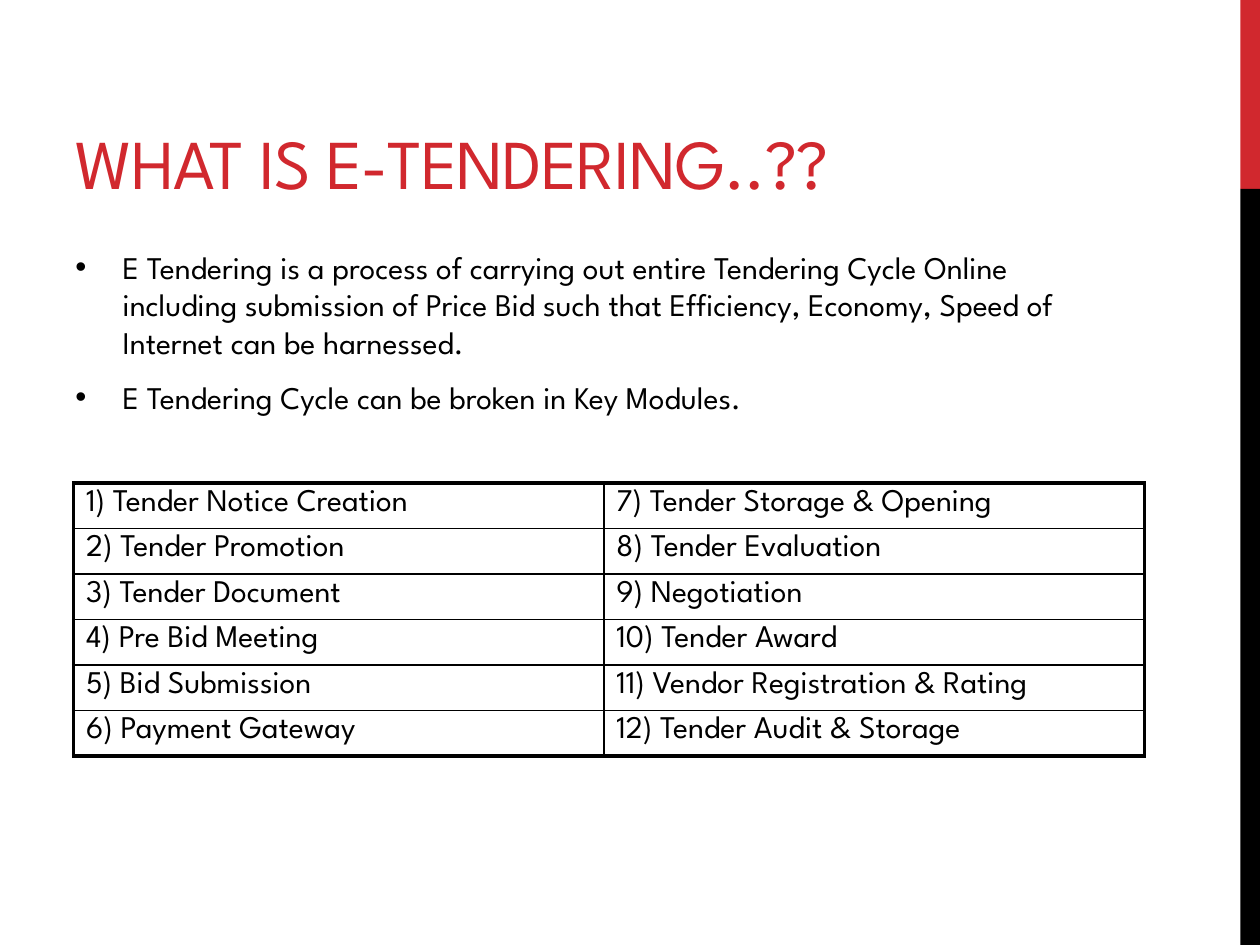
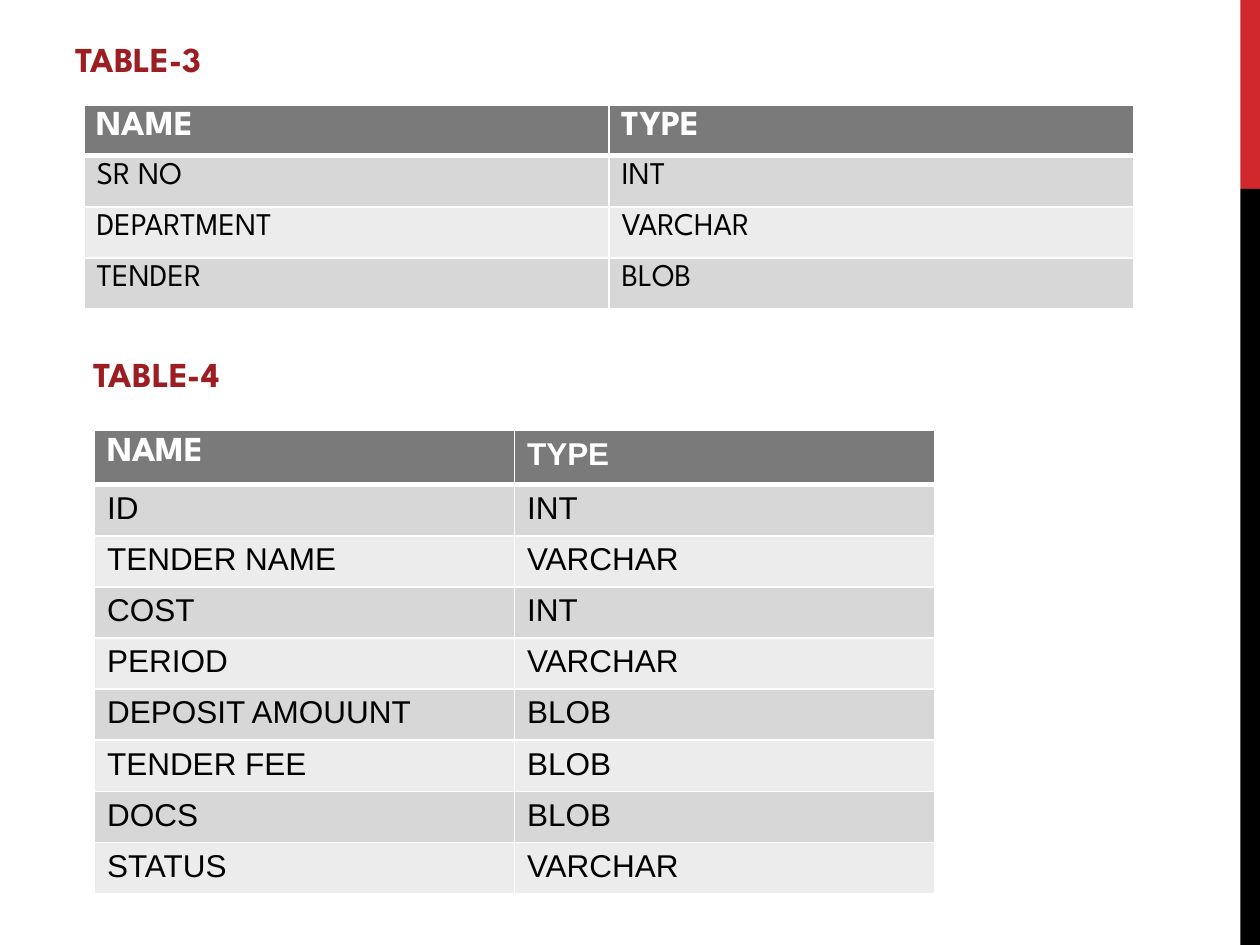
from pptx import Presentation
from pptx.util import Pt
from pptx.dml.color import RGBColor as RGB
from pptx.enum.shapes import MSO_SHAPE as Kind
from pptx.enum.text import MSO_ANCHOR as Anchor, PP_ALIGN as Align
from lxml.etree import SubElement as Sub
from pptx.oxml.ns import qn

HUES = {"red": "D1282E", "dark": "9D1E22", "black": "000000", "white": "FFFFFF",
        "head": "7A7A7A", "odd": "D7D7D7", "even": "ECECEC"}
FACE = "League Spartan"


def tint(name):
    return RGB.from_string(HUES[name])


def style(para, size, hue, face=FACE, bold=False):
    for run in para.runs:
        font = run.font
        font.size, font.name, font.bold = Pt(size), face, bold
        font.color.rgb = tint(hue)


def bands(slide):
    for top, high, hue in ((0, 108, "red"), (108, 432, "black")):
        band = slide.shapes.add_shape(Kind.RECTANGLE, Pt(708.8), Pt(top), Pt(11.2), Pt(high))
        band.shadow.inherit = False
        band.fill.solid()
        band.fill.fore_color.rgb = tint(hue)
        band.line.fill.background()


def title(slide, box, text):
    head = slide.shapes.title
    head.left, head.top, head.width, head.height = map(Pt, box)
    frame = head.text_frame
    frame.text = text
    frame.vertical_anchor = Anchor.BOTTOM
    para = frame.paragraphs[0]
    para.alignment = Align.LEFT
    style(para, 40, "red")
    para.runs[0].font._element.set("spc", "-60")


def label(slide, box, text):
    frame = slide.shapes.add_textbox(*map(Pt, box)).text_frame
    frame.word_wrap = True
    frame.text = text
    style(frame.paragraphs[0], 20, "dark", bold=True)


def bullets(slide, box, items):
    frame = slide.shapes.add_textbox(*map(Pt, box)).text_frame
    frame.word_wrap = True
    for i, item in enumerate(items):
        para = frame.add_paragraph() if i else frame.paragraphs[0]
        para.text = item
        para.space_before, para.space_after = Pt(3.6), Pt(6)
        props = para._p.get_or_add_pPr()
        props.set("marL", str(Pt(27)))
        props.set("indent", str(Pt(-27)))
        Sub(props, qn("a:buFont"), typeface="Arial")
        Sub(props, qn("a:buChar"), char="•")
        style(para, 18, "black")


def edges(cell, hue, sizes):
    props = cell._tc.get_or_add_tcPr()
    for side, size in zip("LRTB", sizes):
        line = Sub(props, qn("a:ln" + side), w=str(Pt(size)))
        fill = Sub(line, qn("a:solidFill"))
        Sub(fill, qn("a:srgbClr"), val=HUES[hue])


def grid(slide, spot, cols, highs, rows):
    frame = slide.shapes.add_table(len(rows), len(cols), *map(Pt, (*spot, sum(cols), sum(highs))))
    table = frame.table
    table.first_row = table.horz_banding = False
    for col, wide in zip(table.columns, cols):
        col.width = Pt(wide)
    for row, high, texts in zip(table.rows, highs, rows):
        row.height = Pt(high)
        for cell, text in zip(row.cells, texts):
            cell.text = text
            cell.margin_bottom = Pt(0.5)
    return table


def modules(slide, spot, names):
    half = len(names) // 2
    texts = [f"{i}) {name}" for i, name in enumerate(names, 1)]
    table = grid(slide, spot, (303, 309), [26] * half, list(zip(texts[:half], texts[half:])))
    for r, row in enumerate(table.rows):
        for c, cell in enumerate(row.cells):
            outer = (c == 0, c == 1, r == 0, r == half - 1)
            edges(cell, "black", [2.25 if out else 1 for out in outer])
            cell.fill.background()
            style(cell.text_frame.paragraphs[0], 18, "black")


def fields(slide, spot, wide, top, rows, face=FACE):
    highs = [top] + [29.2] * len(rows)
    table = grid(slide, spot, (wide, wide), highs, [("NAME", "TYPE"), *rows])
    for r, row in enumerate(table.rows):
        for c, cell in enumerate(row.cells):
            edges(cell, "white", (1, 1, 3 if r == 1 else 1, 3 if r == 0 else 1))
            cell.fill.solid()
            cell.fill.fore_color.rgb = tint("head" if r == 0 else "odd" if r % 2 else "even")
            para = cell.text_frame.paragraphs[0]
            if r:
                style(para, 18, "black", face)
            elif c and face != FACE:
                style(para, 18, "white", face, True)
            else:
                style(para, 20, "white", bold=True)


def intro(deck):
    slide = deck.slides.add_slide(deck.slide_layouts[5])
    bands(slide)
    title(slide, (36, 12, 600, 108), "WHAT IS E-TENDERING..??")
    bullets(slide, (36, 138, 600, 132), (
        "E Tendering is a process of carrying out entire Tendering Cycle Online including "
        "submission of Price Bid such that Efficiency, Economy, Speed of Internet can be harnessed.",
        "E Tendering Cycle can be broken in Key Modules."))
    modules(slide, (42, 276), (
        "Tender Notice Creation", "Tender Promotion", "Tender Document",
        "Pre Bid Meeting", "Bid Submission", "Payment Gateway",
        "Tender Storage & Opening", "Tender Evaluation", "Negotiation",
        "Tender Award", "Vendor Registration & Rating", "Tender Audit & Storage"))


def schema(deck):
    slide = deck.slides.add_slide(deck.slide_layouts[6])
    bands(slide)
    label(slide, (36, 18, 94, 31.5), "TABLE-3")
    fields(slide, (48, 60), 300, 29, (
        ("SR NO", "INT"), ("DEPARTMENT", "VARCHAR"), ("TENDER", "BLOB")))
    label(slide, (46.4, 198, 94, 31.5), "TABLE-4")
    fields(slide, (54, 246), 240, 31, (
        ("ID", "INT"), ("TENDER NAME", "VARCHAR"), ("COST", "INT"),
        ("PERIOD", "VARCHAR"), ("DEPOSIT AMOUUNT", "BLOB"), ("TENDER FEE", "BLOB"),
        ("DOCS", "BLOB"), ("STATUS", "VARCHAR")), "Arial")


deck = Presentation()
deck.slide_width, deck.slide_height = Pt(720), Pt(540)
intro(deck)
schema(deck)
deck.save("out.pptx")
